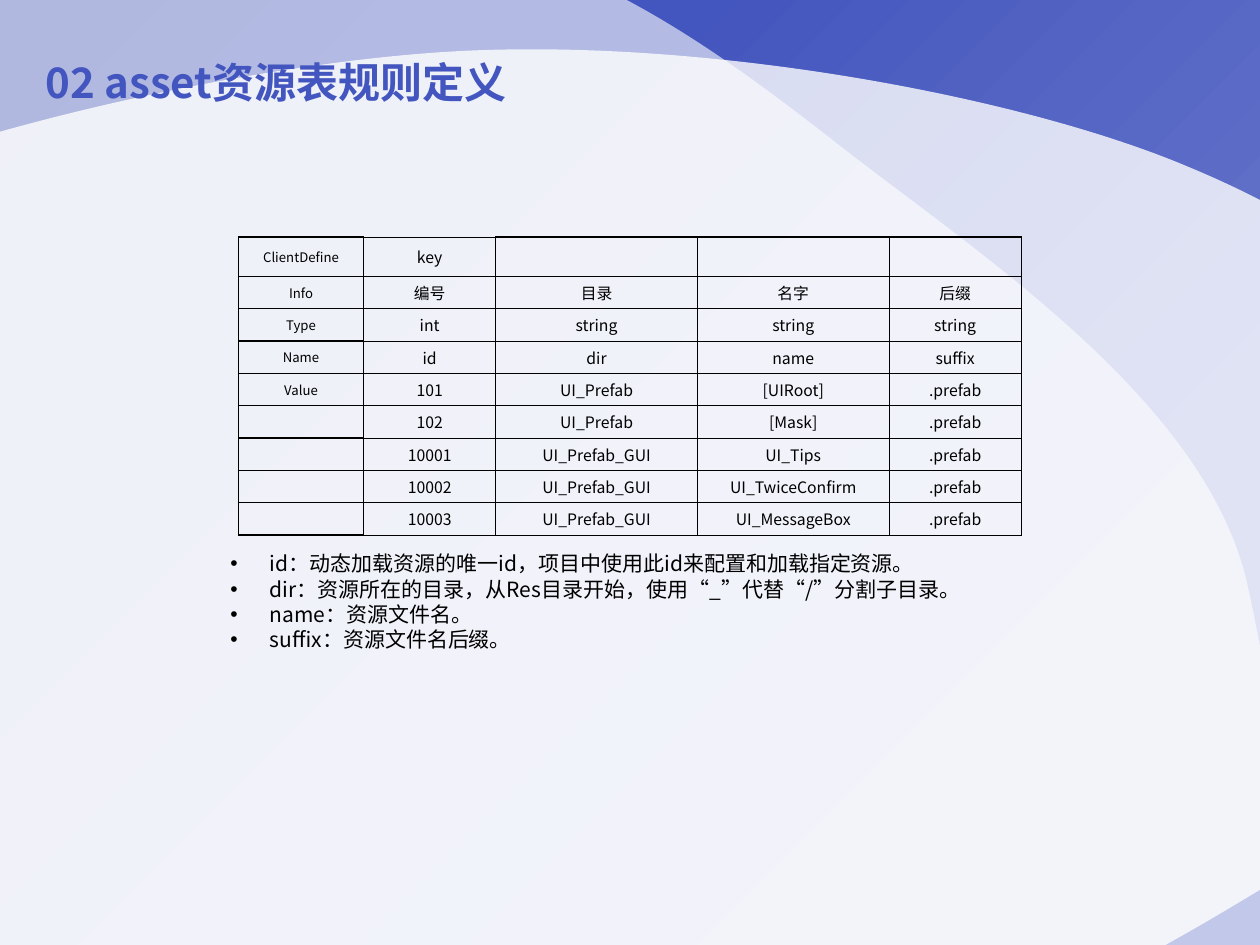
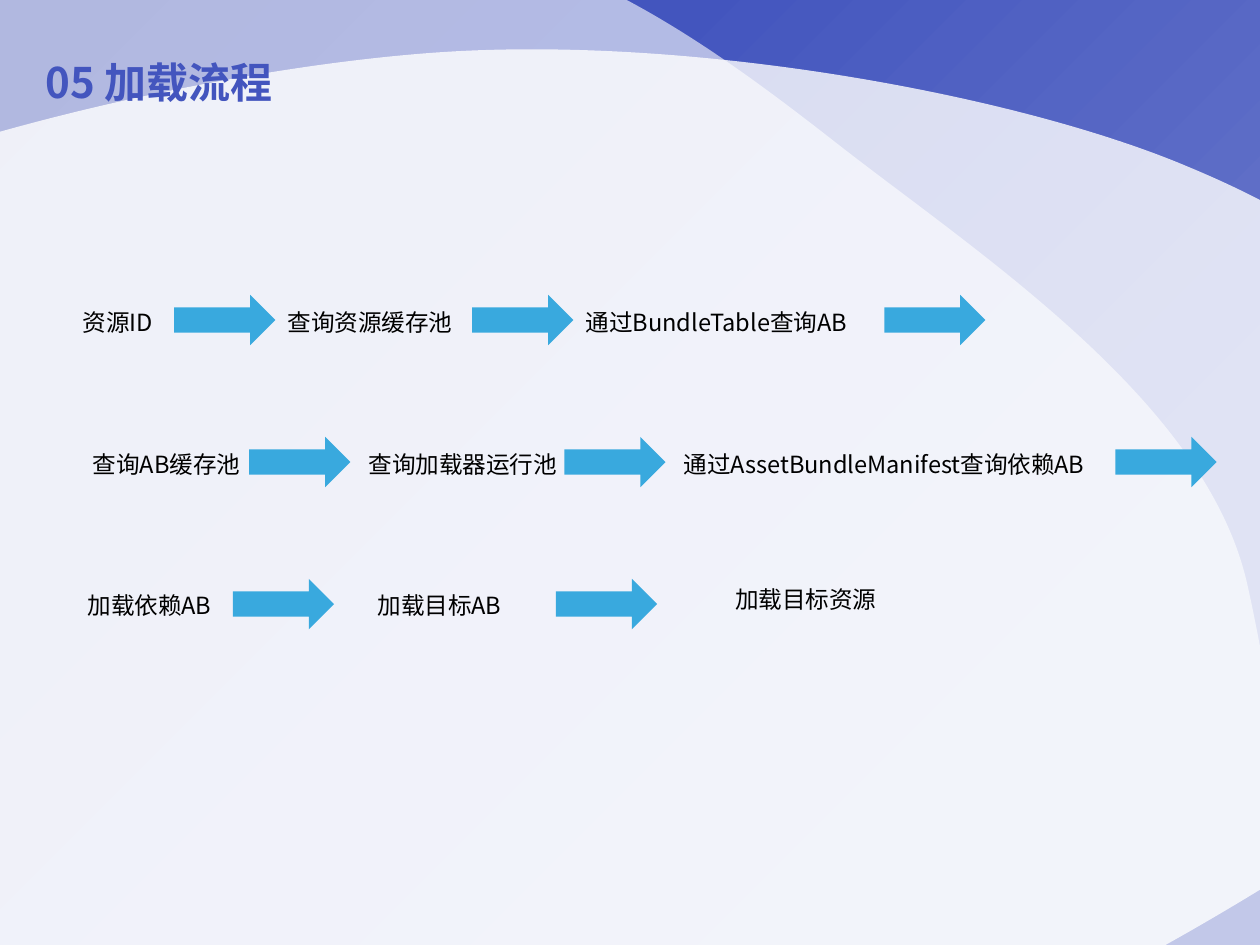
from dataclasses import dataclass

from lxml import etree
from pptx import Presentation
from pptx.dml.color import RGBColor
from pptx.enum.shapes import MSO_SHAPE
from pptx.enum.text import MSO_ANCHOR, MSO_AUTO_SIZE, PP_ALIGN
from pptx.oxml import parse_xml
from pptx.oxml.ns import nsdecls, qn
from pptx.util import Pt

RECT, ARROW = MSO_SHAPE.RECTANGLE, MSO_SHAPE.RIGHT_ARROW
LEFT, CENTER = PP_ALIGN.LEFT, PP_ALIGN.CENTER
TOP, MIDDLE = MSO_ANCHOR.TOP, MSO_ANCHOR.MIDDLE
NO_FIT, GROW = MSO_AUTO_SIZE.NONE, MSO_AUTO_SIZE.SHAPE_TO_FIT_TEXT


@dataclass(frozen=True)
class Theme:
    font: str = "Noto Sans CJK SC"
    title: str = "4355BE"
    text: str = "000000"
    arrow: str = "39A9DE"
    veil: str = "FFFFFF"
    gradient: tuple = ((0, "6776CA"), (23, "6776CA"), (69, "4355BE"), (97, "3E4FB2"))
    title_size: float = 24
    step_size: float = 13.5
    note_size: float = 12
    cell_size: float = 9
    label_size: float = 7.5


T = Theme()


def write(tf, text, size, color=T.text, bold=False, align=LEFT, anchor=TOP,
          spacing=None, before=0, bullet=False):
    """Fill a text frame, one paragraph per line of text."""
    tf.word_wrap = True
    tf.vertical_anchor = anchor
    for i, line in enumerate(text.split("\n")):
        p = tf.add_paragraph() if i else tf.paragraphs[0]
        p.alignment = align
        p.space_before = Pt(before)
        if spacing:
            p.line_spacing = spacing
        if bullet:
            pPr = p._p.get_or_add_pPr()
            pPr.set("marL", str(Pt(22.5)))
            pPr.set("indent", str(-Pt(22.5)))
            etree.SubElement(pPr, qn("a:buFont"), typeface="Arial")
            etree.SubElement(pPr, qn("a:buChar"), char="•")
        if not line:
            etree.SubElement(p._p, qn("a:endParaRPr"), sz=str(int(size * 100)))
            continue
        r = p.add_run()
        r.text = line
        r.font.size = Pt(size)
        r.font.bold = bold
        r.font.name = T.font
        r.font.color.rgb = RGBColor.from_string(color)
        etree.SubElement(r.font._element, qn("a:ea"), typeface=T.font)


def add_curve(shapes, start, curves):
    """Closed freeform whose segments are cubic Bézier curves."""
    builder = shapes.build_freeform(Pt(start[0]), Pt(start[1]))
    builder.add_line_segments([(Pt(c[4]), Pt(c[5])) for c in curves], close=True)
    sp = builder.convert_to_shape()
    for segment, c in zip(list(sp.element.iter(qn("a:lnTo"))), curves):
        bezier = etree.Element(qn("a:cubicBezTo"))
        for x, y in zip(c[::2], c[1::2]):
            etree.SubElement(bezier, qn("a:pt"), x=str(Pt(x) - sp.left), y=str(Pt(y) - sp.top))
        segment.getparent().replace(segment, bezier)
    return sp


prs = Presentation()
prs.slide_width, prs.slide_height = Pt(720), Pt(540)
layout = prs.slide_layouts.get_by_name("Title Only")
table_slide, flow_slide = [prs.slides.add_slide(layout) for _ in range(2)]

# Shared background: gradient under two translucent white veils
backdrop = table_slide.shapes.add_shape(RECT, 0, 0, prs.slide_width, prs.slide_height)
stops = "".join(f'<a:gs pos="{pos * 1000}"><a:srgbClr val="{color}"/></a:gs>'
                for pos, color in T.gradient)
backdrop.fill.background()
no_fill = backdrop.element.spPr.find(qn("a:noFill"))
no_fill.getparent().replace(no_fill, parse_xml(
    f'<a:gradFill {nsdecls("a")} rotWithShape="1"><a:gsLst>{stops}</a:gsLst>'
    '<a:lin ang="13500000" scaled="0"/></a:gradFill>'))
background = [backdrop]

VEILS = [
    (60, (473.8, 78.5), [
        (392.4, 15.1, 331.2, -24.5, 224.6, -48.2), (118.1, -72, -35.3, -59.8, -110.2, -2.9),
        (-185.8, 54, -250.6, 186.5, -227.5, 293), (-203.8, 399.6, -51.8, 645.8, 79.9, 720),
        (212.4, 794.2, 565.2, 842.4, 670.3, 777.6), (776.2, 713.5, 736.6, 440.6, 712.8, 334.1),
        (689, 227.5, 555.1, 142.6, 473.8, 78.5)]),
    (80, (830.9, 229), [
        (804.2, 172.8, 775.4, 135.4, 678.2, 95), (581, 54, 393.1, 19.4, 247, 30.2),
        (101.5, 41, -111.6, 95, -195.8, 158.4), (-280.1, 222.5, -363.6, 394.6, -290.2, 469.4),
        (-216, 544.3, 137.5, 663.1, 325.4, 656.6), (513.4, 650.2, 753.1, 493.2, 837.4, 429.1),
        (921.6, 365.8, 857.5, 284.4, 830.9, 229)]),
]
for opacity, start, curves in VEILS:
    veil = add_curve(table_slide.shapes, start, curves)
    veil.fill.solid()
    veil.fill.fore_color.rgb = RGBColor.from_string(T.veil)
    color = veil.element.spPr.find(qn("a:solidFill"))[0]
    etree.SubElement(color, qn("a:alpha"), val=str(opacity * 1000))
    background.append(veil)

for i, sp in enumerate(background):
    sp.shadow.inherit = False
    sp.line.fill.background()
    layout.shapes.element.insert(2 + i, sp.element)

# Titles
for s, heading in ((table_slide, "02 asset资源表规则定义"), (flow_slide, "05 加载流程")):
    title = s.shapes.title
    title.left, title.top, title.width, title.height = Pt(18.8), Pt(20.2), Pt(313.2), Pt(57)
    title.text_frame.auto_size = NO_FIT
    write(title.text_frame, heading, T.title_size, color=T.title, bold=True,
          anchor=MIDDLE, spacing=0.9, before=10)

# Slide 1: asset table
ROWS = [
    ("ClientDefine", "key", "", "", ""),
    ("Info", "编号", "目录", "名字", "后缀"),
    ("Type", "int", "string", "string", "string"),
    ("Name", "id", "dir", "name", "suffix"),
    ("Value", "101", "UI_Prefab", "[UIRoot]", ".prefab"),
    ("", "102", "UI_Prefab", "[Mask]", ".prefab"),
    ("", "10001", "UI_Prefab_GUI", "UI_Tips", ".prefab"),
    ("", "10002", "UI_Prefab_GUI", "UI_TwiceConfirm", ".prefab"),
    ("", "10003", "UI_Prefab_GUI", "UI_MessageBox", ".prefab"),
]
COLUMN_WIDTHS = (71.5, 75.5, 115.2, 109.6, 75.5)
frame = table_slide.shapes.add_table(len(ROWS), len(COLUMN_WIDTHS), Pt(136.3), Pt(135.4),
                                     Pt(sum(COLUMN_WIDTHS)), Pt(152))
table = frame.table
table.first_row = table.horz_banding = False
for column, width in zip(table.columns, COLUMN_WIDTHS):
    column.width = Pt(width)
for i, row in enumerate(ROWS):
    table.rows[i].height = Pt(16.6 if i else 22.5)
    for j, text in enumerate(row):
        cell = table.cell(i, j)
        cell.margin_left = cell.margin_right = Pt(5.4)
        cell.margin_top = cell.margin_bottom = Pt(2.7)
        write(cell.text_frame, text, T.cell_size if j else T.label_size, align=CENTER)
        cell.vertical_anchor = MIDDLE
        # Heavier lines round the label column and the empty header cells
        heavy = "LTB" if j == 0 else "LRT" if i == 0 and j > 1 else ""
        for side in "LRTB":
            width = 0.75 if side in heavy else 0.5
            cell._tc.get_or_add_tcPr().append(parse_xml(
                f'<a:ln{side} {nsdecls("a")} w="{Pt(width)}"><a:solidFill>'
                f'<a:srgbClr val="{T.text}"/></a:solidFill></a:ln{side}>'))
        cell.fill.background()

# Slide 1: field notes
NOTES = """id：动态加载资源的唯一id，项目中使用此id来配置和加载指定资源。
dir：资源所在的目录，从Res目录开始，使用“_”代替“/”分割子目录。
name：资源文件名。
suffix：资源文件名后缀。"""
notes = table_slide.shapes.add_textbox(Pt(124.6), Pt(311.3), Pt(471), Pt(65.5))
notes.text_frame.auto_size = GROW
write(notes.text_frame, NOTES, T.note_size, spacing=Pt(1.2 * T.note_size), bullet=True)

# Slide 2: loading steps as (text, left, width, drop below the arrow tops)
FLOW = [
    ([("资源ID", 40.3, 55.4, 3.6), ("查询资源缓存池", 157.3, 110, 3.6),
      ("通过BundleTable查询AB", 327.6, 165, 3.6)], (99.5, 269.8, 505.3)),
    ([("查询AB缓存池", 46, 100, 3.6), ("查询加载器运行池", 203.6, 124, 3.6),
      ("通过AssetBundleManifest查询依赖AB", 383.6, 249, 3.6)], (142.4, 322.5, 637.4)),
    ([("加载依赖AB", 43, 86.4, 3.3), ("加载目标AB", 208.7, 86.4, 3.3),
      ("加载目标资源", 413.2, 97, 0)], (133.1, 317.7)),
]
for i, (steps, arrow_lefts) in enumerate(FLOW):
    top = 168.5 + 81.15 * i
    for text, left, width, drop in steps:
        step = flow_slide.shapes.add_textbox(Pt(left), Pt(top + drop), Pt(width), Pt(24))
        step.text_frame.auto_size = GROW
        write(step.text_frame, text, T.step_size, spacing=Pt(1.2 * T.step_size))
    for left in arrow_lefts:
        arrow = flow_slide.shapes.add_shape(ARROW, Pt(left), Pt(top), Pt(57.8), Pt(28.8))
        arrow.shadow.inherit = False
        arrow.fill.solid()
        arrow.fill.fore_color.rgb = RGBColor.from_string(T.arrow)
        arrow.line.fill.background()

prs.save("out.pptx")
